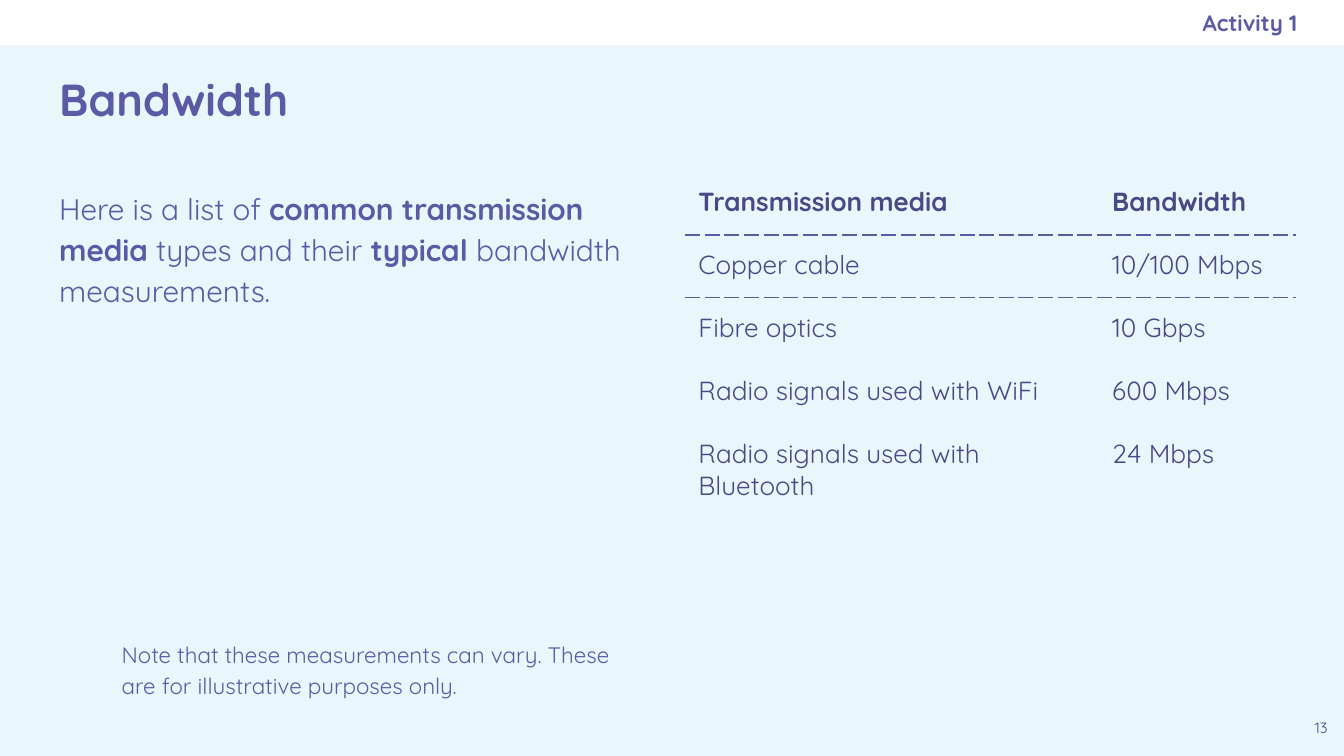
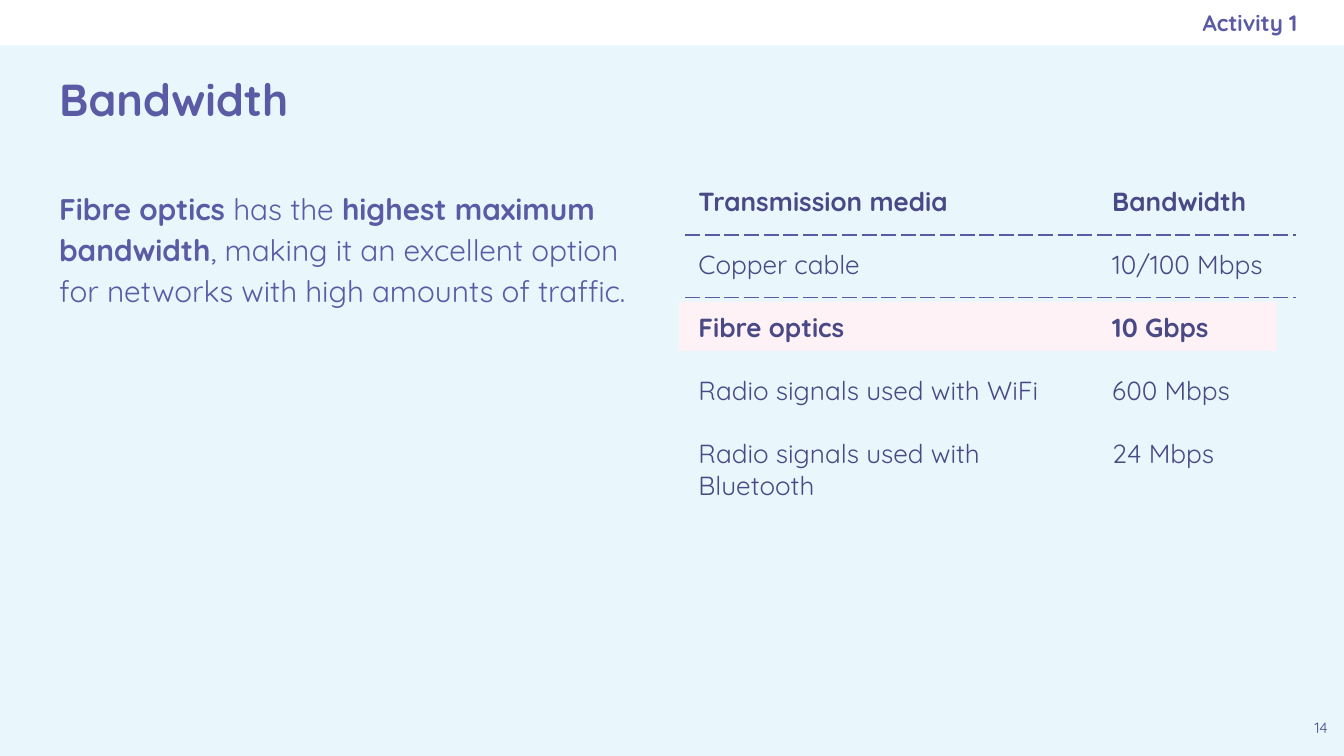
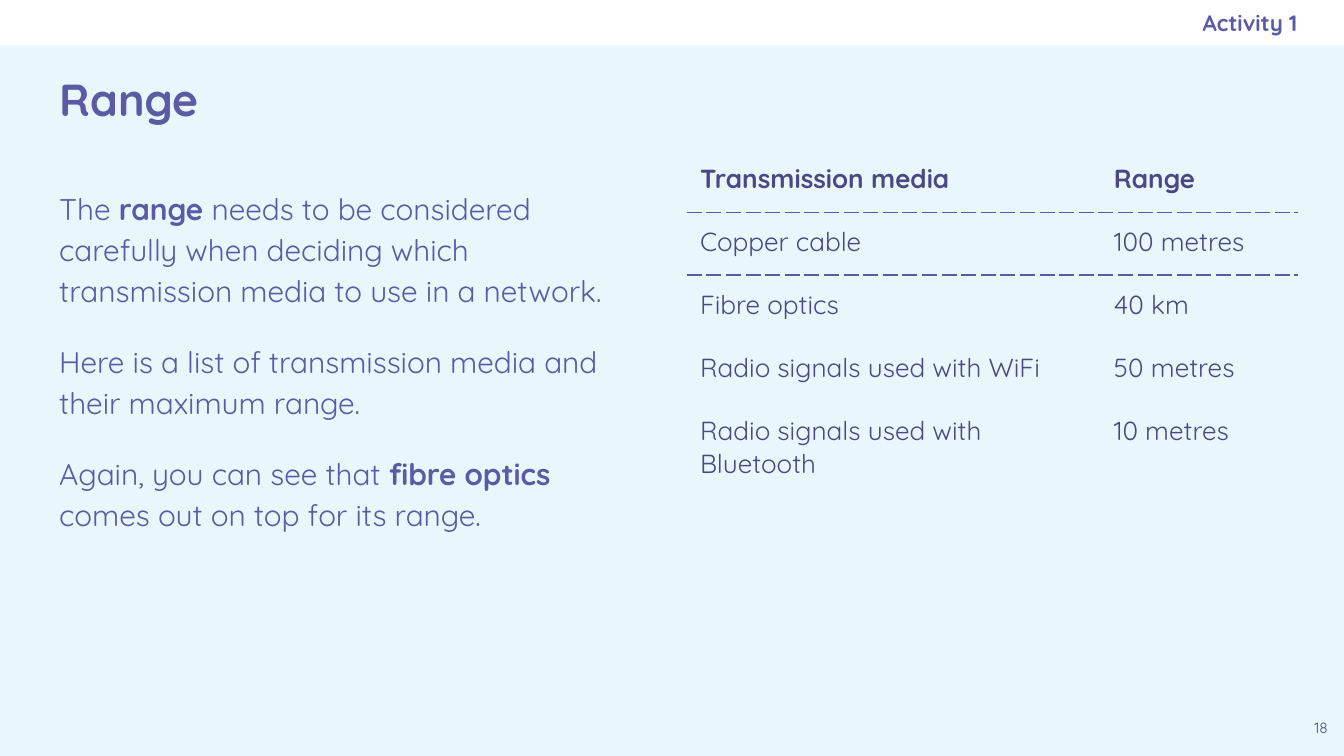
from lxml.etree import fromstring
from pptx import Presentation as Deck
from pptx.dml.color import RGBColor as Rgb
from pptx.enum.shapes import MSO_SHAPE as Kind
from pptx.enum.text import MSO_ANCHOR as Anchor, PP_ALIGN as Align
from pptx.oxml.ns import nsdecls, qn
from pptx.util import Cm, Pt

FONT = "Quicksand"
VIOLET, INDIGO, SKY, ROSE, WHITE = "5B5BA5", "494985", "E9F7FC", "FEF2F6", "FFFFFF"
WIDE, TALL, BAND, PAD = 25.4, 14.29, 0.86, 0.25
PLAIN = "{2D5ABB26-0587-4C30-8999-92F81FD0307C}"
COLS, ROW = (7.82, 3.73), 1.19

MEDIA = ["Copper cable", "Fibre optics", "Radio signals used with WiFi",
         "Radio signals used with Bluetooth"]
SPEEDS = ["10/100 Mbps", "10 Gbps", "600 Mbps", "24 Mbps"]
REACH = ["100 metres", "40 km", "50 metres", "10 metres"]

SLIDES = [
    dict(title="Bandwidth", page="13", vals=SPEEDS, at=(12.95, 3.25),
         body=["Here is a list of *common transmission media* types and their "
               "*typical *bandwidth measurements."],
         note="Note that these measurements can vary. "
              "These are for illustrative purposes only."),
    dict(title="Bandwidth", page="14", vals=SPEEDS, at=(12.95, 3.25), pick=2,
         body=["*Fibre optics* has the *highest maximum bandwidth*, making it an "
               "excellent option for networks with high amounts of traffic."]),
    dict(title="Range", page="18", vals=REACH, at=(12.98, 2.82),
         body=["The *range *needs to be considered carefully when deciding which "
               "transmission media to use in a network.",
               "Here is a list of transmission media and their maximum range.",
               "Again, you can see that *fibre optics* comes out on top for its range."]),
]

STYLES = {
    "title": dict(at=(0.87, 0.89, 23.66, 1.93), size=24, bold=True, mid=True),
    "tag": dict(at=(14.61, 0, 9.91, BAND), size=12, bold=True, mid=True,
                right=0, para=dict(alignment=Align.RIGHT)),
    "body": dict(at=(0.87, 3.25, 11.37, 10.16), size=16,
                 para=dict(line_spacing=1.15), gap=16),
    "note": dict(at=(2.05, 11.8, 10.47, 1.63), size=12,
                 para=dict(line_spacing=1.15)),
    "page": dict(at=(24.54, 13.42, BAND, BAND), size=8, color=INDIGO,
                 para=dict(alignment=Align.CENTER)),
}


def tint(code):
    return Rgb.from_string(code)


def apply(item, vals):
    for name, val in vals.items():
        setattr(item, name, val)


def write(para, text, size, color, bold=False):
    for i, part in enumerate(text.split("*")):
        if part:
            run = para.add_run()
            run.text = part
            apply(run.font, dict(name=FONT, size=Pt(size), bold=bold or i % 2 == 1))
            run.font.color.rgb = tint(color)


def inset(item, right=PAD):
    apply(item, dict(margin_left=Cm(PAD), margin_top=Cm(PAD),
                     margin_right=Cm(right), margin_bottom=Cm(PAD)))


def add_text(slide, kind, lines):
    look = STYLES[kind]
    frame = slide.shapes.add_textbox(*map(Cm, look["at"])).text_frame
    anchor = Anchor.MIDDLE if look.get("mid") else Anchor.TOP
    apply(frame, dict(word_wrap=True, vertical_anchor=anchor))
    inset(frame, look.get("right", PAD))
    for i, line in enumerate(lines):
        para = frame.add_paragraph() if i else frame.paragraphs[0]
        apply(para, look.get("para", {}))
        if i:
            para.space_before = Pt(look["gap"])
        write(para, line, look["size"], look.get("color", VIOLET), look.get("bold", False))


def add_bar(slide, at, color):
    bar = slide.shapes.add_shape(Kind.RECTANGLE, *map(Cm, at))
    bar.shadow.inherit = False
    bar.fill.solid()
    bar.fill.fore_color.rgb = tint(color)
    bar.line.fill.background()


def add_edge(cell, side):
    edge = fromstring(
        f'<a:{side} {nsdecls("a")} w="{Pt(0.75)}"><a:solidFill><a:srgbClr val="{VIOLET}"/>'
        f'</a:solidFill><a:prstDash val="dash"/></a:{side}>')
    cell._tc.get_or_add_tcPr().insert(0, edge)


def add_grid(slide, rows, at, pick):
    size = sum(COLS), ROW * len(rows)
    frame = slide.shapes.add_table(len(rows), len(COLS), *map(Cm, at + size))
    grid = frame.table
    apply(grid, dict(first_row=False, horz_banding=False))
    frame.element.find(".//" + qn("a:tableStyleId")).text = PLAIN
    for col, width in zip(grid.columns, COLS):
        col.width = Cm(width)
    for r, row in enumerate(rows):
        grid.rows[r].height = Cm(ROW)
        for c, text in enumerate(row):
            cell = grid.cell(r, c)
            inset(cell)
            cell.fill.background()
            write(cell.text_frame.paragraphs[0], text, 14, INDIGO, r in (0, pick))
            if r < 2:
                add_edge(cell, ("lnB", "lnT")[r])


def add_slide(deck, data):
    slide = deck.slides.add_slide(deck.slide_layouts[6])
    pick = data.get("pick")
    add_bar(slide, (0, 0, WIDE, BAND), WHITE)
    if pick:
        add_bar(slide, (12.83, 5.7, 11.3, 0.94), ROSE)
    add_text(slide, "body", data["body"])
    for kind in ("title", "page"):
        add_text(slide, kind, [data[kind]])
    add_text(slide, "tag", ["Activity 1"])
    if "note" in data:
        add_text(slide, "note", [data["note"]])
    rows = [("Transmission media", data["title"]), *zip(MEDIA, data["vals"])]
    add_grid(slide, rows, data["at"], pick)


def main():
    deck = Deck()
    apply(deck, dict(slide_width=Cm(WIDE), slide_height=Cm(TALL)))
    fill = deck.slide_master.background.fill
    fill.solid()
    fill.fore_color.rgb = tint(SKY)
    for data in SLIDES:
        add_slide(deck, data)
    deck.save("out.pptx")


if __name__ == "__main__":
    main()
